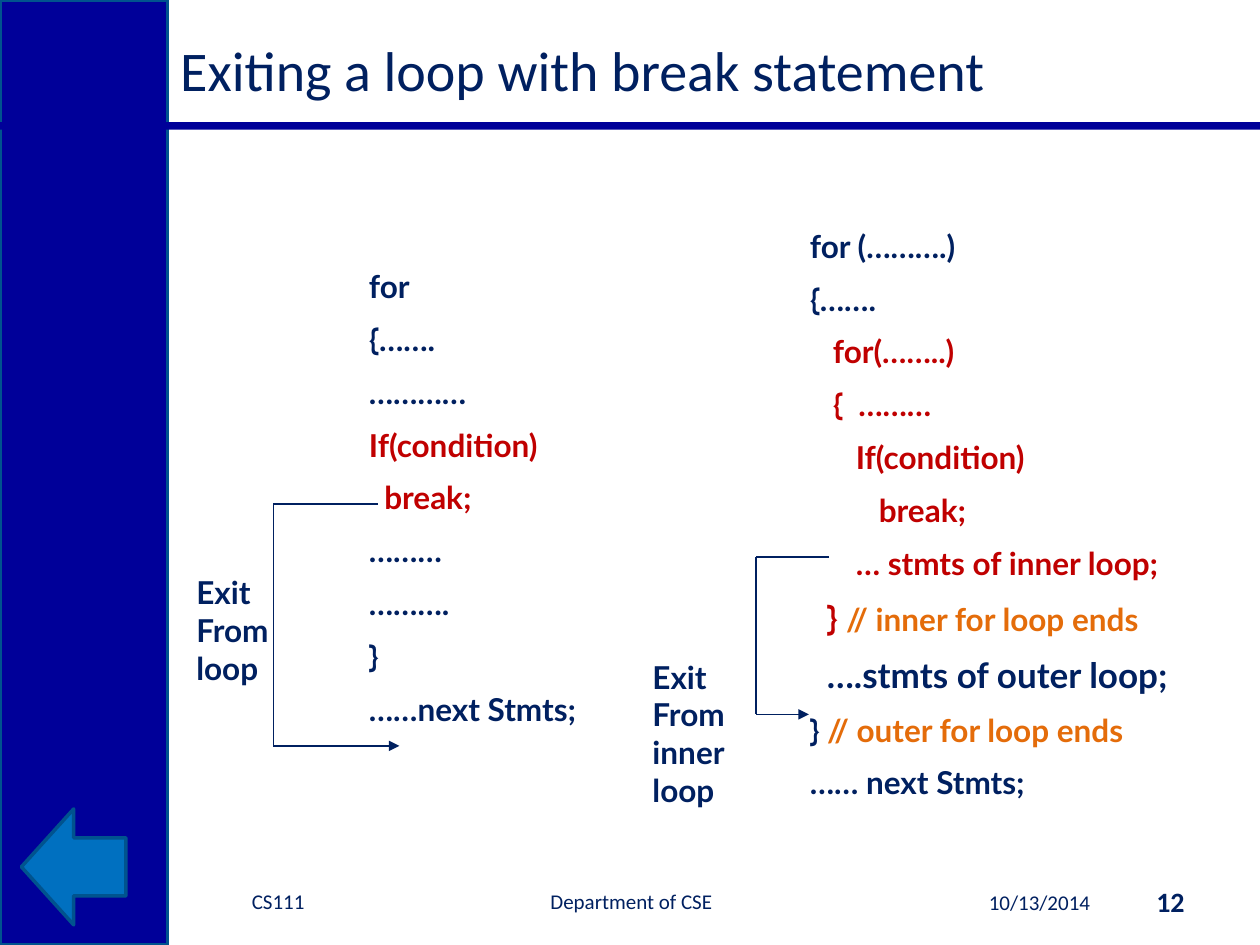
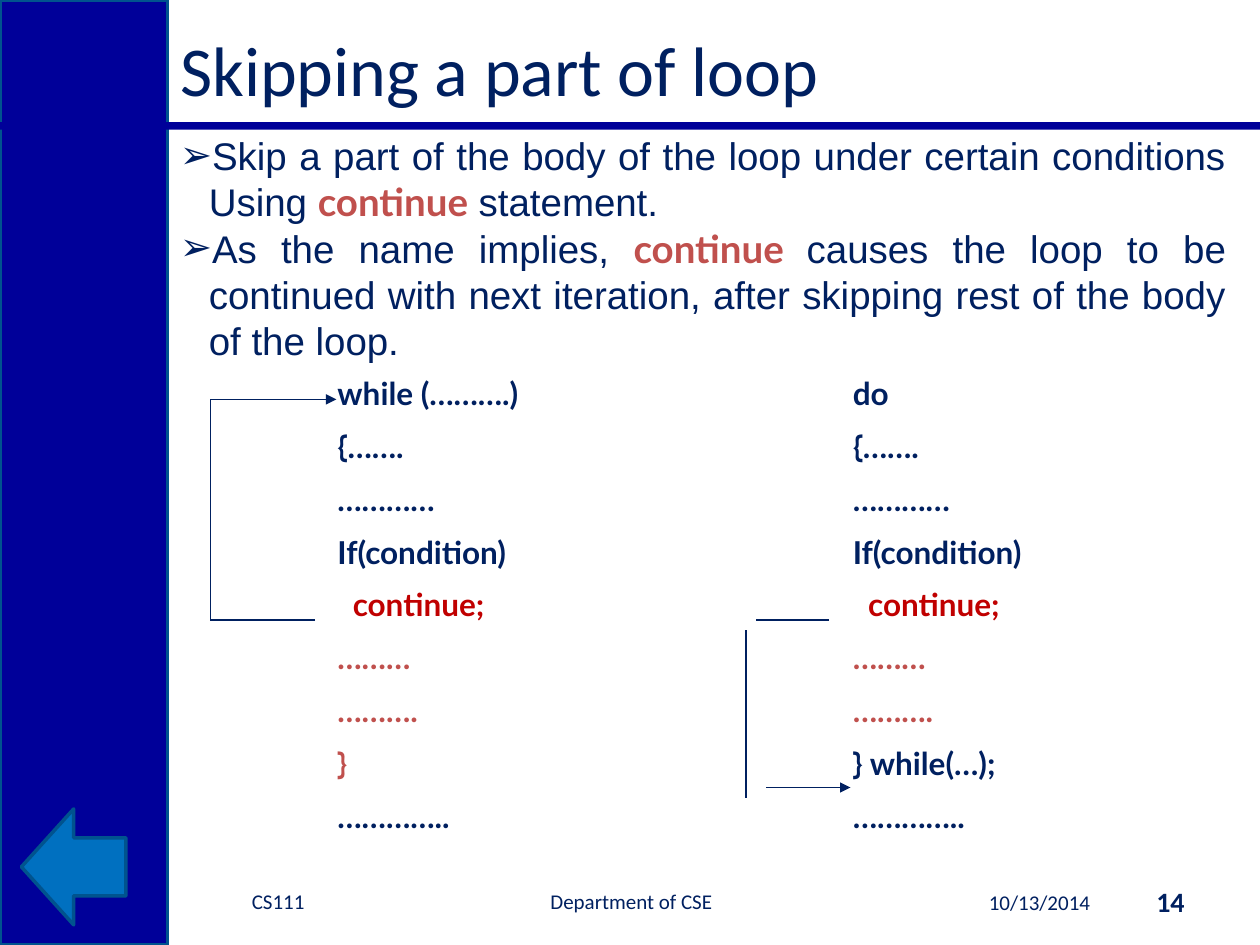
from itertools import pairwise

from lxml.etree import SubElement
from pptx import Presentation
from pptx.dml.color import RGBColor
from pptx.enum.shapes import MSO_CONNECTOR, MSO_SHAPE
from pptx.enum.text import MSO_ANCHOR, PP_ALIGN
from pptx.oxml.ns import qn
from pptx.util import Inches, Pt

COLORS = {
    "navy": "002060",
    "band": "000099",
    "outline": "00538E",
    "arrow": "0070C0",
    "red": "C00000",
    "rose": "C0504D",
    "orange": "E46C0A",
}
LINE_GAP = 8.6


def color(name):
    return RGBColor.from_string(COLORS[name])


def add_text(slide, box, lines, size, font="Lato", bold=True, gap=0,
             align=PP_ALIGN.LEFT, anchor=MSO_ANCHOR.TOP, wrap=True, bullet=None):
    frame = slide.shapes.add_textbox(*map(Inches, box)).text_frame
    frame.word_wrap = wrap
    frame.vertical_anchor = anchor
    for index, runs in enumerate(lines):
        paragraph = frame.paragraphs[0] if index == 0 else frame.add_paragraph()
        paragraph.alignment = align
        if index and gap:
            paragraph.space_before = Pt(gap)
        if bullet:
            properties = paragraph._p.get_or_add_pPr()
            properties.set("marL", str(Inches(0.23)))
            properties.set("indent", str(-Inches(0.23)))
            SubElement(properties, qn("a:buFont"), typeface="Arial")
            SubElement(properties, qn("a:buChar"), char=bullet)
        paragraph.font.size = Pt(size)
        paragraph.font.bold = bold
        for text, color_name, *run_size in runs:
            run = paragraph.add_run()
            run.text = text
            run.font.name = "Cabin" if text.strip() in ("{", "}") else font
            run.font.color.rgb = color(color_name)
            if run_size:
                run.font.size = Pt(run_size[0])
            if color_name == "rose" and not bold:
                run.font.name = "Lato"
                run.font.bold = True


break_code = [
    [("for", "navy")],
    [("{", "navy"), ("…….", "navy")],
    [("…………", "navy")],
    [("If(condition)", "red")],
    [("  break;", "red")],
    [("………", "navy")],
    [("……….", "navy")],
    [("}", "navy")],
    [("……next Stmts;", "navy")],
]
nested_break_code = [
    [("for (……….)", "navy")],
    [("{", "navy"), ("…….", "navy")],
    [("   for(……..)", "red")],
    [("   ", "red"), ("{", "red"), ("  ………", "red")],
    [("      If(condition)", "red")],
    [("         break;", "red")],
    [("      … stmts of inner loop;", "red")],
    [("  ", "red", 20), ("} ", "red", 20), ("// inner for loop ends", "orange")],
    [("  ", "red", 20), ("….stmts of outer loop;", "navy", 20)],
    [("} ", "navy"), ("// outer for loop ends", "orange")],
    [("…… next Stmts;", "navy")],
]
continue_body = [
    [("{", "navy"), ("…….", "navy")],
    [("…………", "navy")],
    [("If(condition)", "navy")],
    [("  continue;", "red")],
    [("………", "rose")],
    [("……….", "rose")],
]
last_line = [("…………..", "navy")]
while_code = [[("while (……….)", "navy")], *continue_body, [("}", "rose")], last_line]
do_code = [[("do", "navy")], *continue_body,
           [("}", "navy"), (" while(…);", "navy")], last_line]
explanation = [
    [("Skip a part of the body of the loop under certain conditions Using ", "navy"),
     ("continue", "rose"), (" statement.", "navy")],
    [("As the name implies, ", "navy"), ("continue ", "rose"),
     ("causes the loop to be continued with next iteration, "
      "after skipping rest of the body of the loop.", "navy")],
]

pages = [
    {
        "title": "Exiting a loop with break statement",
        "title_size": 32,
        "number": "12",
        "code": [((2.83, 2.07, 2.92, 4.01), break_code),
                 ((6.33, 1.75, 3.17, 5.05), nested_break_code)],
        "labels": [((1.46, 4.5, 0.79, 1.01), ["Exit", "From", "loop"]),
                   ((5.08, 5.17, 0.79, 1.31), ["Exit", "From", "inner", "loop"])],
        "bullets": [],
        "jumps": [([(3, 4), (2.17, 4), (2.17, 5.92), (3.17, 5.92)], True),
                  ([(6.58, 4.42), (6, 4.42), (6, 5.67), (6.42, 5.67)], True)],
    },
    {
        "title": "Skipping a part of loop",
        "title_size": 40,
        "number": "14",
        "code": [((2.58, 2.92, 2.92, 4.01), while_code),
                 ((6.67, 2.92, 2.92, 4.01), do_code)],
        "labels": [],
        "bullets": explanation,
        "jumps": [([(2.5, 4.92), (1.67, 4.92), (1.67, 3.17), (2.67, 3.17)], True),
                  ([(6.58, 4.92), (6, 4.92)], False),
                  ([(5.92, 5), (5.92, 6.33)], False),
                  ([(6.08, 6.25), (6.75, 6.25)], True)],
    },
]
frame_shapes = [
    (MSO_SHAPE.RECTANGLE, (0, 0, 1.33, 7.5), "band", True),
    (MSO_SHAPE.RECTANGLE, (0, 0.97, 10, 0.06), "band", False),
    (MSO_SHAPE.LEFT_ARROW, (0.17, 6.42, 0.83, 0.92), "arrow", True),
]

presentation = Presentation()
presentation.slide_width = Inches(10)
presentation.slide_height = Inches(7.5)

for page in pages:
    slide = presentation.slides.add_slide(presentation.slide_layouts[5])

    for kind, box, fill_name, outlined in frame_shapes:
        shape = slide.shapes.add_shape(kind, *map(Inches, box))
        shape.shadow.inherit = False
        shape.fill.solid()
        shape.fill.fore_color.rgb = color(fill_name)
        if outlined:
            shape.line.color.rgb = color("outline")
            shape.line.width = Pt(2)
        else:
            shape.line.fill.background()

    title = slide.shapes.title
    title.left, title.top, title.width, title.height = map(Inches, (1.33, 0.17, 7.83, 0.75))
    title.text_frame.text = page["title"]
    title.text_frame.vertical_anchor = MSO_ANCHOR.MIDDLE
    paragraph = title.text_frame.paragraphs[0]
    paragraph.alignment = PP_ALIGN.LEFT
    paragraph.font.name = "Calibri"
    paragraph.font.size = Pt(page["title_size"])
    paragraph.font.color.rgb = color("navy")

    footers = [
        ((1.9, 6.95, 1, 0.4), "CS111", 12, PP_ALIGN.LEFT),
        ((4.27, 6.95, 1.98, 0.4), "Department of CSE", 12, PP_ALIGN.LEFT),
        ((7, 6.96, 1.75, 0.4), "10/13/2014", 12, PP_ALIGN.RIGHT),
        ((8.75, 6.95, 0.75, 0.4), page["number"], 16, PP_ALIGN.RIGHT),
    ]
    for box, text, size, align in footers:
        add_text(slide, box, [[(text, "navy")]], size, font="Calibri", bold=size == 16,
                 align=align, anchor=MSO_ANCHOR.MIDDLE)

    if page["bullets"]:
        add_text(slide, (1.33, 1, 8.5, 1.95), page["bullets"], 22, font="Arial",
                 bold=False, align=PP_ALIGN.JUSTIFY, bullet="➢")
    for box, lines in page["code"]:
        add_text(slide, box, lines, 18, gap=LINE_GAP)
    for box, words in page["labels"]:
        add_text(slide, box, [[(word, "navy")] for word in words], 18, wrap=False)

    for points, has_arrow in page["jumps"]:
        for start, end in pairwise(points):
            connector = slide.shapes.add_connector(
                MSO_CONNECTOR.STRAIGHT, *map(Inches, (*start, *end)))
            connector.line.color.rgb = color("navy")
            connector.line.width = Pt(0.75)
            SubElement(connector._element.spPr, qn("a:effectLst"))
        if has_arrow:
            SubElement(connector.line._get_or_add_ln(), qn("a:tailEnd"), type="triangle")

presentation.save("out.pptx")
